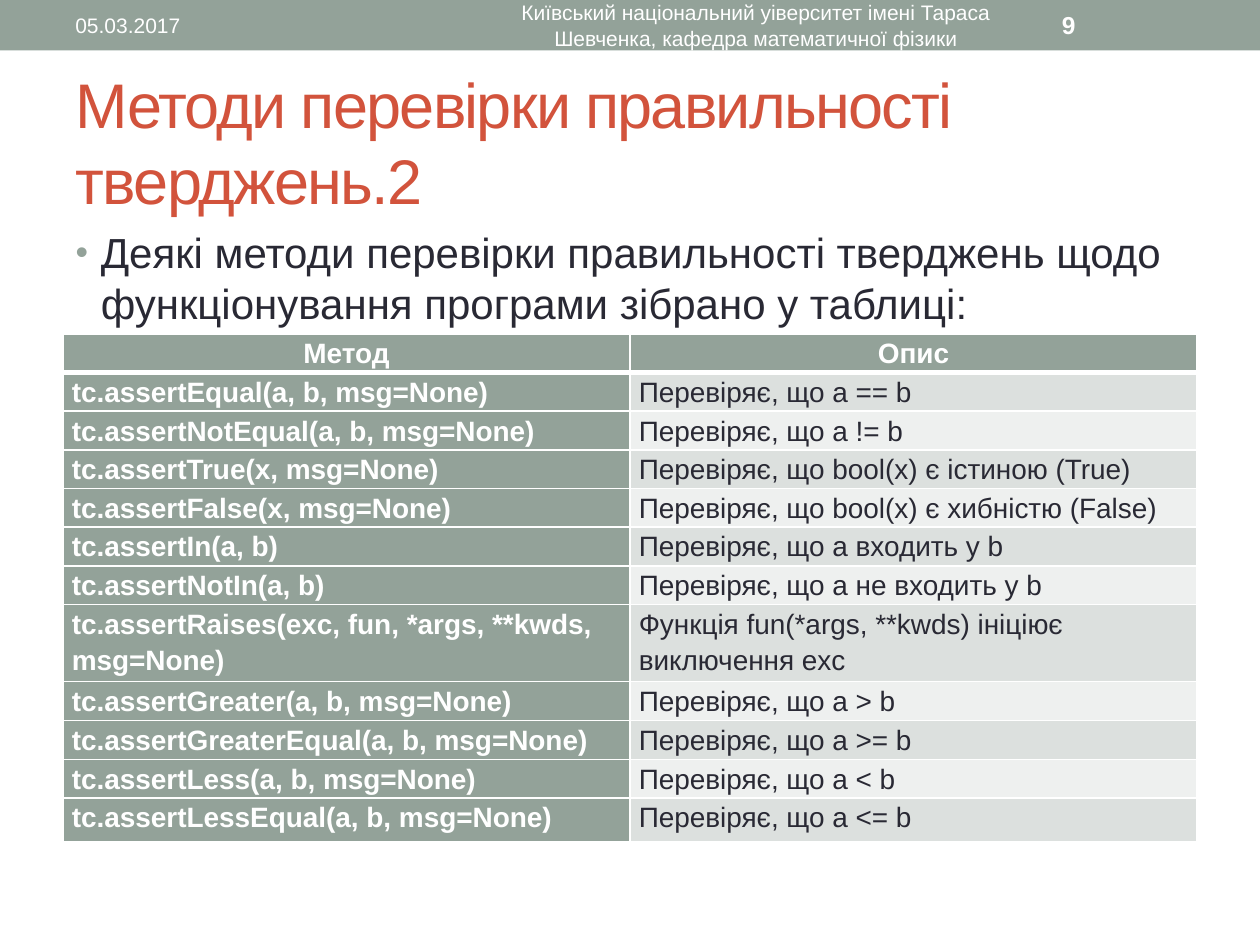
from lxml.etree import SubElement
from pptx import Presentation
from pptx.dml.color import RGBColor
from pptx.enum.shapes import MSO_SHAPE
from pptx.enum.text import MSO_ANCHOR, MSO_AUTO_SIZE, PP_ALIGN
from pptx.oxml.ns import qn
from pptx.util import Inches, Pt

SAGE, WHITE, INK, RUST = "93A299", "FFFFFF", "292934", "D2533C"
BANDS = ("DCE0DE", "EEF0EF")
TITLE = "Методи перевірки правильності тверджень.2"
INTRO = "Деякі методи перевірки правильності тверджень щодо функціонування програми зібрано у таблиці:"
HEADER = [
    ("05.03.2017", 0.5, 3.17, 12, False, PP_ALIGN.LEFT),
    ("Київський національний уіверситет імені Тараса Шевченка, кафедра математичної фізики",
     3.75, 4.5, 12, False, PP_ALIGN.CENTER),
    ("9", 8.33, 1.17, 14, True, PP_ALIGN.LEFT),
]
METHODS = [
    ("Метод", "Опис", 0.26),
    ("tc.assertEqual(a, b, msg=None)", "Перевіряє, що a == b", 0.26),
    ("tc.assertNotEqual(a, b, msg=None)", "Перевіряє, що a != b", 0.29),
    ("tc.assertTrue(x, msg=None)", "Перевіряє, що bool(x) є істиною (True)", 0.26),
    ("tc.assertFalse(x, msg=None)", "Перевіряє, що bool(x) є хибністю (False)", 0.26),
    ("tc.assertIn(a, b)", "Перевіряє, що а входить у b", 0.26),
    ("tc.assertNotIn(a, b)", "Перевіряє, що а не входить у b", 0.26),
    ("tc.assertRaises(exc, fun, *args, **kwds, msg=None)",
     "Функція fun(*args, **kwds) ініціює виключення exc", 0.54),
    ("tc.assertGreater(a, b, msg=None)", "Перевіряє, що a > b", 0.26),
    ("tc.assertGreaterEqual(a, b, msg=None)", "Перевіряє, що a >= b", 0.31),
    ("tc.assertLess(a, b, msg=None)", "Перевіряє, що a < b", 0.26),
    ("tc.assertLessEqual(a, b, msg=None)", "Перевіряє, що a <= b", 0.35),
]


def color(value):
    return RGBColor.from_string(value)


def write(frame, text, size, ink, bold=False, align=PP_ALIGN.LEFT):
    frame.word_wrap = True
    para = frame.paragraphs[0]
    para.text = text
    para.alignment = align
    font = para.font
    font.name, font.size, font.bold = "Arial", Pt(size), bold
    font.color.rgb = color(ink)
    return para


def place(shape, left, top, width, height):
    shape.left, shape.top = Inches(left), Inches(top)
    shape.width, shape.height = Inches(width), Inches(height)


def add_bullet(para):
    props = para._p.get_or_add_pPr()
    props.set("marL", str(Inches(0.2)))
    props.set("indent", str(Inches(-0.2)))
    tint = SubElement(props, qn("a:buClr"))
    SubElement(tint, qn("a:srgbClr"), val=SAGE)
    SubElement(props, qn("a:buSzPct"), val="85000")
    SubElement(props, qn("a:buFont"), typeface="Arial")
    SubElement(props, qn("a:buChar"), char="•")


def add_borders(cell, row):
    widths = {"L": 1, "R": 1, "T": 3 if row == 1 else 1, "B": 3 if row == 0 else 1}
    for side, width in widths.items():
        line = SubElement(cell._tc.get_or_add_tcPr(), qn(f"a:ln{side}"), w=str(Pt(width)))
        fill = SubElement(line, qn("a:solidFill"))
        SubElement(fill, qn("a:srgbClr"), val=WHITE)


def add_header(page):
    band = page.shapes.add_shape(MSO_SHAPE.RECTANGLE, 0, 0, Inches(10), Inches(0.4))
    band.shadow.inherit = False
    band.fill.solid()
    band.fill.fore_color.rgb = color(SAGE)
    band.line.fill.background()
    for text, left, width, size, bold, align in HEADER:
        box = page.shapes.add_textbox(Inches(left), Inches(0.02), Inches(width), Inches(0.36))
        box.text_frame.vertical_anchor = MSO_ANCHOR.MIDDLE
        write(box.text_frame, text, size, WHITE, bold, align)


def add_methods(page):
    table = page.shapes.add_table(len(METHODS), 2, Inches(0.5), Inches(2.65),
                                  Inches(9), Inches(3.84)).table
    for row, (*texts, height) in enumerate(METHODS):
        table.rows[row].height = Inches(height)
        for column, text in enumerate(texts):
            cell = table.cell(row, column)
            head = row == 0 or column == 0
            cell.margin_left = cell.margin_right = Inches(0.07)
            cell.margin_top = cell.margin_bottom = 0
            add_borders(cell, row)
            cell.fill.solid()
            cell.fill.fore_color.rgb = color(SAGE if head else BANDS[(row - 1) % 2])
            align = PP_ALIGN.CENTER if row == 0 else PP_ALIGN.LEFT
            para = write(cell.text_frame, text, 16, WHITE if head else INK, head, align)
            para.line_spacing = 1.15


def main():
    """Build the slide on assertion methods."""
    deck = Presentation()
    deck.slide_width, deck.slide_height = Inches(10), Inches(7.5)
    page = deck.slides.add_slide(deck.slide_layouts[1])
    title, body = page.placeholders
    place(title, 0.5, 0.58, 9, 1.08)
    place(body, 0.5, 1.75, 9, 5.33)
    for holder in (title, body):
        holder.text_frame.auto_size = MSO_AUTO_SIZE.NONE
    title.text_frame.vertical_anchor = MSO_ANCHOR.MIDDLE
    heading = write(title.text_frame, TITLE, 36, RUST)
    heading.runs[0].font._element.set("spc", "-100")
    intro = body.text_frame.paragraphs[0]
    intro.space_before = Pt(0)
    add_bullet(intro)
    write(body.text_frame, INTRO, 24, INK)
    add_header(page)
    add_methods(page)
    deck.save("out.pptx")


if __name__ == "__main__":
    main()
